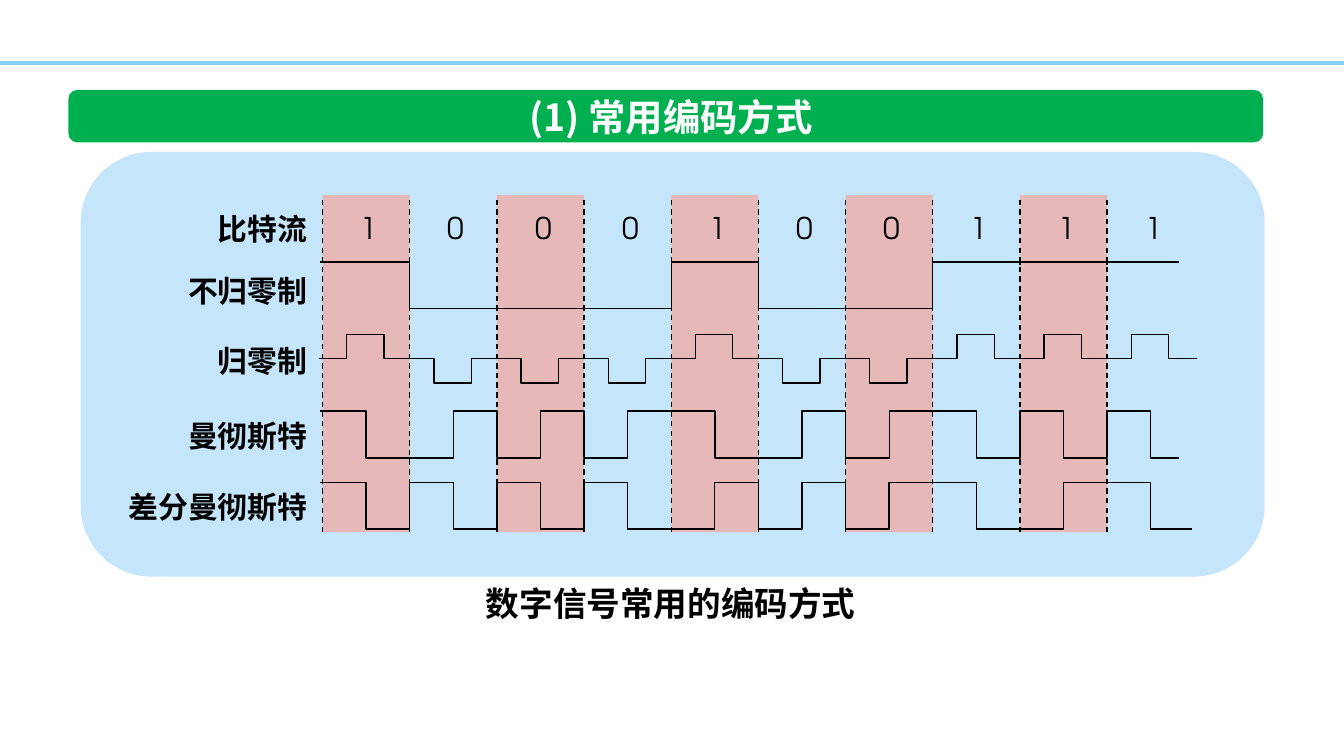
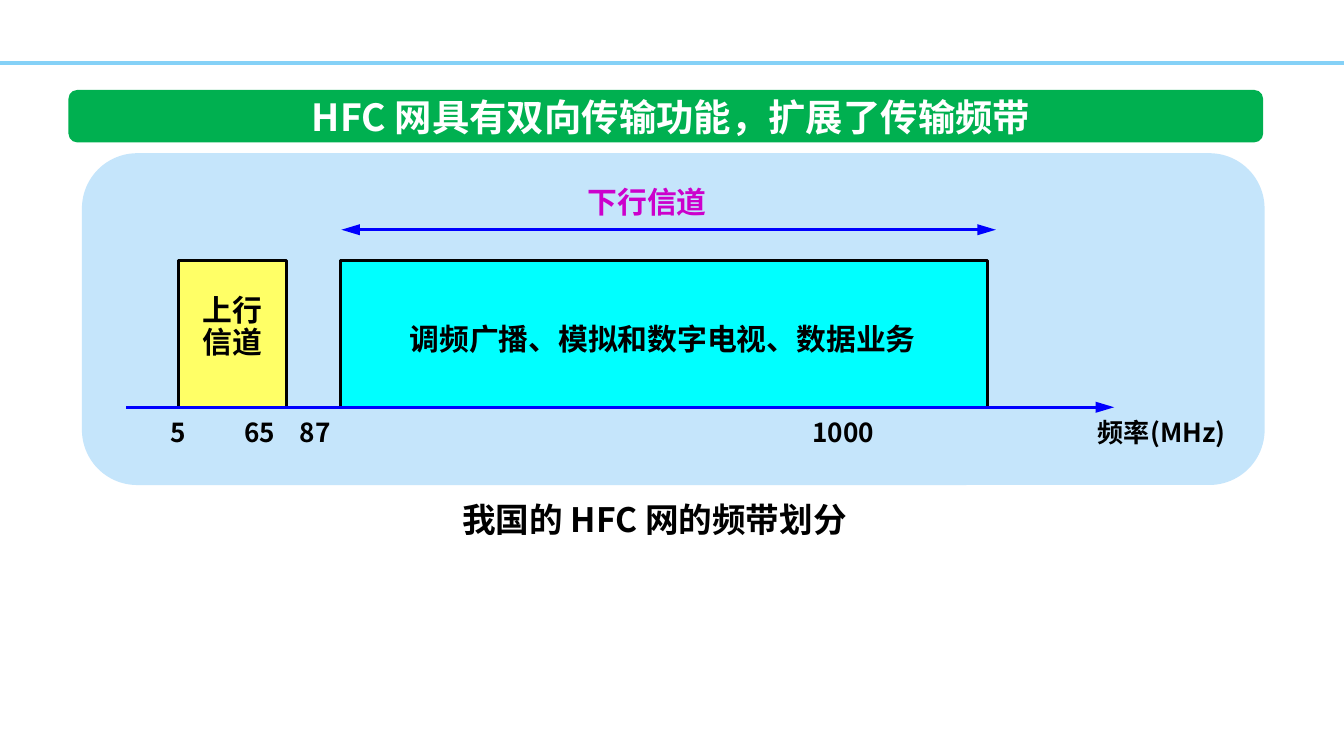
from dataclasses import dataclass
from lxml.etree import SubElement
from pptx import Presentation
from pptx.dml.color import RGBColor
from pptx.enum.dml import MSO_LINE
from pptx.enum.shapes import MSO_CONNECTOR, MSO_SHAPE
from pptx.enum.text import MSO_ANCHOR, PP_ALIGN
from pptx.oxml.ns import qn
from pptx.util import Pt

CHINESE_FONT = "Noto Sans CJK SC"
DIGIT_FONT = "TeX Gyre Adventor"
BLACK, WHITE, BLUE = "000000", "FFFFFF", "0000FF"
RULE, BANNER, PANEL = "85D1F7", "00B050", "C5E5FB"
STRIPE, UPLINK, DOWNLINK, MAGENTA = "E6B9B8", "FFFF66", "00FFFF", "CC00CC"

BITS = [1, 0, 0, 0, 1, 0, 0, 1, 1, 1]
BIT_WIDTH = 46.7
WAVE_HEIGHT = 25


@dataclass
class Box:
    left: float
    top: float
    width: float
    height: float

    def inner(self, left, top, width, height):
        return Box(self.left + left, self.top + top, width, height)

    def lengths(self):
        return [Pt(value) for value in (self.left, self.top, self.width, self.height)]


def color(value):
    return RGBColor.from_string(value)


def add_block(page, box, fill, outline=None, shape_type=MSO_SHAPE.RECTANGLE):
    block = page.shapes.add_shape(shape_type, *box.lengths())
    block.shadow.inherit = False
    block.fill.solid()
    block.fill.fore_color.rgb = color(fill)
    if outline:
        block.line.color.rgb = color(outline)
        block.line.width = Pt(1.5)
    else:
        block.line.fill.background()
    return block


def add_label(page, box, text, size, align=PP_ALIGN.LEFT, fill=BLACK, font=CHINESE_FONT,
              bold=True, anchor=MSO_ANCHOR.TOP, spacing=None, tabs=()):
    label = page.shapes.add_textbox(*box.lengths())
    frame = label.text_frame
    frame.word_wrap = bool(tabs)
    frame.vertical_anchor = anchor
    frame.text = text
    for para in frame.paragraphs:
        if tabs:
            stops = SubElement(para._p.get_or_add_pPr(), qn("a:tabLst"))
            for position in tabs:
                SubElement(stops, qn("a:tab"), pos=str(Pt(position)), algn="l")
        para.alignment = align
        if spacing:
            para.line_spacing = spacing
        for span in para.runs:
            span.font.name = font
            span.font.size = Pt(size)
            span.font.bold = bold
            span.font.color.rgb = color(fill)
            SubElement(span._r.get_or_add_rPr(), qn("a:ea"), typeface=font)


def add_line(page, start, end, stroke=BLACK, width=0.75, dashed=False, arrows=()):
    line = page.shapes.add_connector(MSO_CONNECTOR.STRAIGHT, *map(Pt, (*start, *end)))
    line.line.color.rgb = color(stroke)
    line.line.width = Pt(width)
    if dashed:
        line.line.dash_style = MSO_LINE.DASH
    for arrow in arrows:
        SubElement(line.line._get_or_add_ln(), qn(f"a:{arrow}"), type="triangle", w="med", len="lg")
    SubElement(line._element.spPr, qn("a:effectLst"))


def add_polyline(page, points):
    first, *rest = [(Pt(x), Pt(y)) for x, y in points]
    builder = page.shapes.build_freeform(*first, scale=1.0)
    builder.add_line_segments(rest, close=False)
    wave = builder.convert_to_shape()
    wave.shadow.inherit = False
    wave.fill.background()
    wave.line.color.rgb = color(BLACK)
    wave.line.width = Pt(0.75)


def add_level_wave(page, left, top, levels, step, end):
    heights = [top if level else top + WAVE_HEIGHT for level in levels]
    points = [(left - 1.2, heights[0])]
    for index in range(1, len(heights)):
        if heights[index] != heights[index - 1]:
            x = left + index * step
            points += [(x, heights[index - 1]), (x, heights[index])]
    add_polyline(page, points + [(end, heights[-1])])


def manchester_levels():
    return [level for bit in BITS for level in (bit, 1 - bit)]


def differential_levels():
    levels = []
    previous = 1
    for bit in BITS:
        start = previous if bit else 1 - previous
        previous = 1 - start
        levels += [start, previous]
    return levels


def add_header(page, title):
    add_line(page, (0, 33.8), (720, 33.8), RULE, 2)
    add_block(page, Box(36.7, 48.2, 640, 28.1), BANNER, shape_type=MSO_SHAPE.ROUNDED_RECTANGLE)
    add_label(page, Box(98.6, 48.2, 522, 28.1), title, 20, PP_ALIGN.CENTER, WHITE,
              anchor=MSO_ANCHOR.MIDDLE)


def add_panel(page, box):
    add_block(page, box, PANEL, shape_type=MSO_SHAPE.ROUNDED_RECTANGLE)


def add_return_to_zero(page, left, middle):
    for index, bit in enumerate(BITS):
        start = left + index * BIT_WIDTH - 2
        peak = middle - 13 if bit else middle + 13
        add_polyline(page, [(start, middle), (start + 15, middle), (start + 15, peak),
                            (start + 35, peak), (start + 35, middle), (start + 50, middle)])


def add_non_return_to_zero(page, left, top, end):
    add_level_wave(page, left, top, BITS, BIT_WIDTH, end)
    for index in range(1, len(BITS)):
        if BITS[index] == BITS[index - 1]:
            x = left + index * BIT_WIDTH
            base = top + 1.4 if BITS[index] else top + WAVE_HEIGHT
            add_line(page, (x, base), (x, base - 2.2))


def add_encoding_chart(page, box):
    add_panel(page, box)
    left = box.left + 129.6
    wave_end = left + 459
    for index, bit in enumerate(BITS):
        edge = 129.6 + index * BIT_WIDTH
        if index % 2 == 0:
            add_block(page, box.inner(edge, 23, BIT_WIDTH, 180.7), STRIPE)
        add_label(page, box.inner(edge + BIT_WIDTH / 2 - 10, 27.3, 20, 21.6), str(bit), 16,
                  PP_ALIGN.CENTER, font=DIGIT_FONT, bold=False)
    for index in range(len(BITS)):
        x = left + index * BIT_WIDTH
        add_line(page, (x, box.top + 203.8), (x, box.top + 26), dashed=True)
    rows = {"比特流": 28, "不归零制": 61.2, "归零制": 98.6, "曼彻斯特": 138.9, "差分曼彻斯特": 177.1}
    for name, top in rows.items():
        add_label(page, box.inner(16.5, top, 112, 26.6), name, 16, PP_ALIGN.RIGHT)
    add_non_return_to_zero(page, left, box.top + 59, wave_end)
    add_return_to_zero(page, left, box.top + 110.8)
    add_level_wave(page, left, box.top + 138.9, manchester_levels(), BIT_WIDTH / 2, wave_end)
    add_level_wave(page, left, box.top + 177.1, differential_levels(), BIT_WIDTH / 2, wave_end + 6.6)


def add_frequency_chart(page, box):
    add_panel(page, box)
    arrow_y, axis_y = box.top + 41, box.top + 136.1
    add_line(page, (box.left + 139, arrow_y), (box.left + 489.6, arrow_y), BLUE, 1.5,
             arrows=("headEnd", "tailEnd"))
    add_label(page, box.inner(259.2, 11.5, 87.1, 28.8), "下行信道", 16, PP_ALIGN.CENTER, MAGENTA,
              anchor=MSO_ANCHOR.MIDDLE)
    add_block(page, box.inner(51.9, 57.6, 57.6, 78.5), UPLINK, BLACK)
    add_label(page, box.inner(57.6, 72.7, 54, 42.5), "上行\n信道", 16, spacing=0.9)
    add_block(page, box.inner(138.3, 57.6, 347, 78.5), DOWNLINK, BLACK)
    add_label(page, box.inner(168.5, 86.4, 289.4, 26.6), "调频广播、模拟和数字电视、数据业务", 16)
    add_label(page, box.inner(40.3, 137.5, 488.9, 24.5), "5\t65\t87\t1000", 14,
              tabs=(39.6, 69.4, 344))
    add_label(page, box.inner(537.1, 137.5, 90, 24.5), "频率(MHz)", 14)
    add_line(page, (box.left + 23.8, axis_y), (box.left + 553, axis_y), BLUE, 1.5,
             arrows=("tailEnd",))


def add_figure_slide(deck, title, draw_chart, chart_box, caption, caption_box):
    page = deck.slides.add_slide(deck.slide_layouts[6])
    add_header(page, title)
    draw_chart(page, chart_box)
    add_label(page, caption_box, caption, 18, PP_ALIGN.CENTER)


def main():
    deck = Presentation()
    deck.slide_width, deck.slide_height = Pt(720), Pt(405)
    add_figure_slide(deck, "(1) 常用编码方式", add_encoding_chart, Box(43.2, 81.4, 634.3, 227.5),
                     "数字信号常用的编码方式", Box(244.1, 308.9, 230.4, 28.8))
    add_figure_slide(deck, "HFC 网具有双向传输功能，扩展了传输频带", add_frequency_chart,
                     Box(43.9, 82.1, 633.6, 177.8),
                     "我国的 HFC 网的频带划分", Box(230.4, 263.5, 240.5, 28.8))
    deck.save("out.pptx")


if __name__ == "__main__":
    main()
